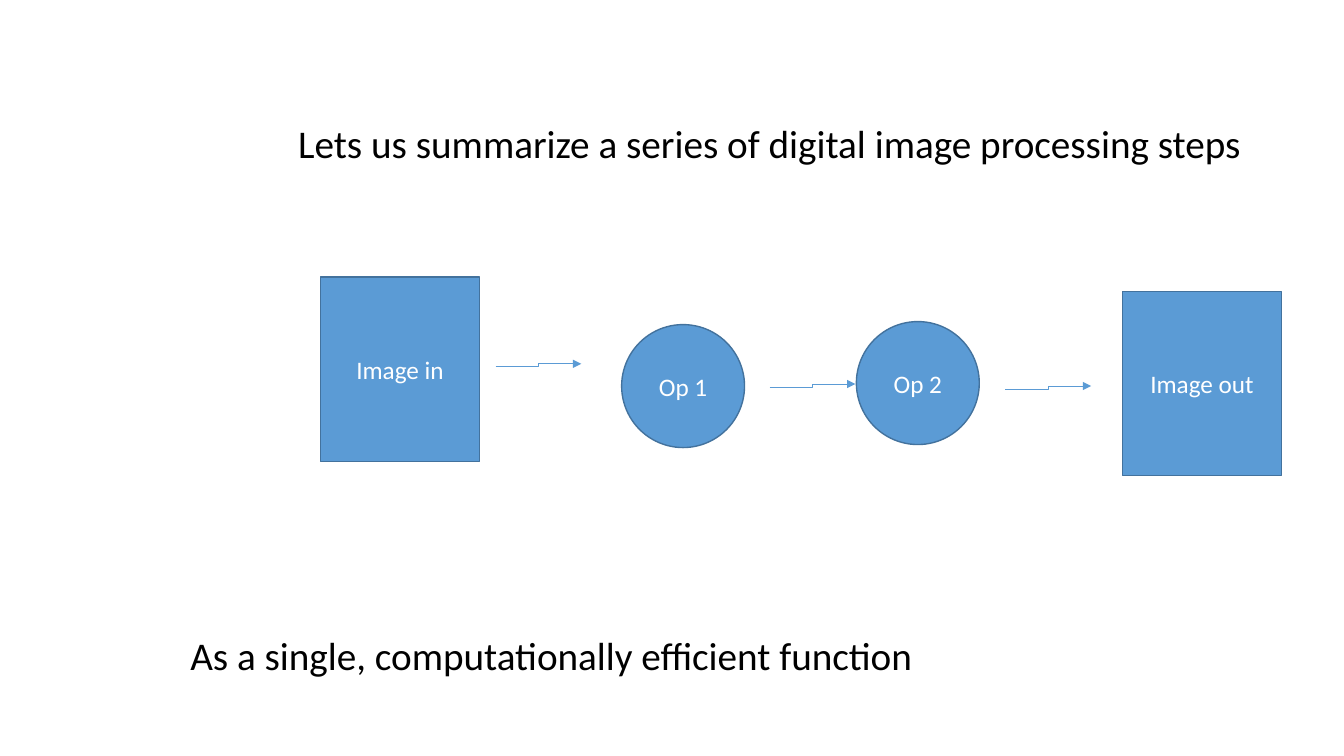
from pptx import Presentation
from pptx.dml.color import RGBColor
from pptx.enum.shapes import MSO_CONNECTOR as CONN, MSO_SHAPE as SHAPE
from pptx.enum.text import MSO_ANCHOR as ANCHOR, MSO_AUTO_SIZE as AUTO, PP_ALIGN as ALIGN
from pptx.oxml.ns import qn
from pptx.util import Emu, Pt
from lxml import etree

PX = 9144  # EMU per px, 100 px to the inch
FONT = "Calibri"
BLUE = RGBColor(0x5B, 0x9B, 0xD5)
DARK_BLUE = RGBColor(0x43, 0x72, 0x9D)
BLACK = RGBColor(0, 0, 0)
WHITE = RGBColor(0xFF, 0xFF, 0xFF)

STATEMENT = {"name": FONT, "size": Pt(28), "bold": False}
LABEL = {"name": FONT, "size": Pt(18)}

# Image boxes and operations: shape, text, left, top, width, height
IMAGE_SIZE = (158, 183)
OP_SIZE = (122, 122)
STEPS = [
    (SHAPE.RECTANGLE, "Image in", 318, 275, *IMAGE_SIZE),
    (SHAPE.OVAL, "Op 1", 617, 322, *OP_SIZE),
    (SHAPE.OVAL, "Op 2", 850, 319, *OP_SIZE),
    (SHAPE.RECTANGLE, "Image out", 1114, 289, *IMAGE_SIZE),
]

# Arrow starts; each one runs right and slightly up
ARROWS = [(492, 364), (764, 384), (998, 386)]
ARROW_RUN, ARROW_RISE = 85, 3


def px(*values):
    return [Emu(v * PX) for v in values]


def write(tf, text, fmt, color, align):
    tf.text = text
    p = tf.paragraphs[0]
    p.alignment = align
    font = p.runs[0].font
    for name, value in fmt.items():
        setattr(font, name, value)
    font.color.rgb = color


def set_statement(sp, text, left, top, width, height):
    sp.left, sp.top, sp.width, sp.height = px(left, top, width, height)
    tf = sp.text_frame
    write(tf, text, STATEMENT, BLACK, ALIGN.LEFT)
    tf.word_wrap = False
    tf.auto_size = AUTO.SHAPE_TO_FIT_TEXT
    tf.vertical_anchor = ANCHOR.TOP


def add_step(s, kind, text, *box):
    sp = s.shapes.add_shape(kind, *px(*box))
    sp.shadow.inherit = False
    sp.fill.solid()
    sp.fill.fore_color.rgb = BLUE
    sp.line.color.rgb = DARK_BLUE
    sp.line.width = Pt(1)
    sp.text_frame.vertical_anchor = ANCHOR.MIDDLE
    write(sp.text_frame, text, LABEL, WHITE, ALIGN.CENTER)


def add_arrow(s, x, y):
    ends = px(x, y, x + ARROW_RUN, y - ARROW_RISE)
    arrow = s.shapes.add_connector(CONN.ELBOW, *ends)
    arrow.line.color.rgb = BLUE
    arrow.line.width = Pt(0.5)
    etree.SubElement(arrow.line._get_or_add_ln(), qn("a:tailEnd"), type="triangle")
    etree.SubElement(arrow._element.spPr, qn("a:effectLst"))


def main():
    prs = Presentation()
    prs.slide_width, prs.slide_height = px(1334, 750)
    s = prs.slides.add_slide(prs.slide_layouts[5])

    # Title
    set_statement(s.shapes.title,
                  "Lets us summarize a series of digital image processing steps",
                  286, 113, 958, 57)

    # Processing chain
    for step in STEPS:
        add_step(s, *step)
    for start in ARROWS:
        add_arrow(s, *start)

    # Conclusion
    set_statement(s.shapes.add_textbox(*px(0, 0, 1, 1)),
                  "As a single, computationally efficient function",
                  179, 621, 738, 57)

    prs.save("out.pptx")


if __name__ == "__main__":
    main()
